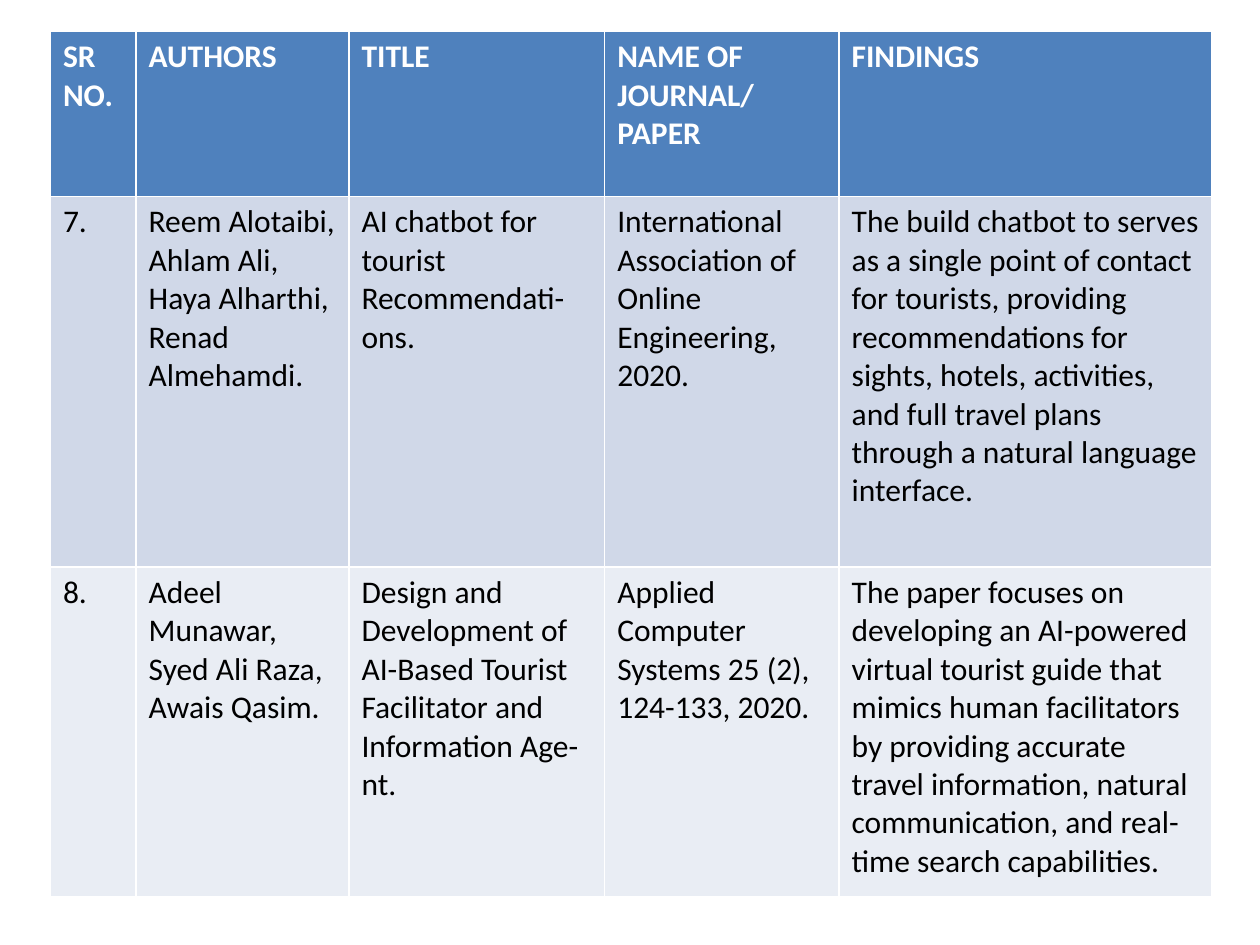
from dataclasses import dataclass

from pptx import Presentation
from pptx.dml.color import RGBColor
from pptx.table import _Cell
from pptx.util import Inches, Pt

WHITE = RGBColor(0xFF, 0xFF, 0xFF)
BLACK = RGBColor(0x00, 0x00, 0x00)
BLUE = RGBColor(0x4F, 0x81, 0xBD)
MIST = RGBColor(0xD0, 0xD8, 0xE8)
PALE = RGBColor(0xE9, 0xED, 0xF4)

FONT = "Calibri"
SIZE = Pt(18)
LEFT, TOP = 0.4, 0.25
WIDTHS = (0.68, 1.69, 2.03, 1.86, 2.96)


@dataclass(frozen=True)
class Row:
    height: float
    fill: RGBColor
    color: RGBColor
    bold: bool
    texts: tuple[str, ...]  # a line break starts a new paragraph


ROWS = (
    Row(1.31, BLUE, WHITE, True, (
        "SR\nNO.",
        "AUTHORS",
        "TITLE",
        "NAME OF JOURNAL/\nPAPER",
        "FINDINGS",
    )),
    Row(2.94, MIST, BLACK, False, (
        "7.",
        "Reem Alotaibi, Ahlam Ali,\nHaya Alharthi, Renad Almehamdi.",
        "AI chatbot for tourist\nRecommendati-ons.",
        "International Association of Online Engineering, 2020.",
        "The build chatbot to serves as a single point of contact for "
        "tourists, providing recommendations for sights, hotels, activities, "
        "and full travel plans through a natural language interface.",
    )),
    Row(2.62, PALE, BLACK, False, (
        "8.",
        "Adeel Munawar, Syed Ali Raza, Awais Qasim.",
        "Design and Development of AI-Based Tourist Facilitator and "
        "Information Age-nt.",
        "Applied Computer Systems 25 (2), 124-133, 2020.",
        "The paper focuses on developing an AI-powered virtual tourist guide "
        "that mimics human facilitators by providing accurate travel "
        "information, natural communication, and real-time search "
        "capabilities.",
    )),
)


def fill_cell(cell: _Cell, words: str, row: Row) -> None:
    cell.fill.solid()
    cell.fill.fore_color.rgb = row.fill
    cell.text_frame.text = words
    for para in cell.text_frame.paragraphs:
        for run in para.runs:
            run.font.name = FONT
            run.font.size = SIZE
            run.font.bold = row.bold
            run.font.color.rgb = row.color


def main() -> None:
    deck = Presentation()
    deck.slide_width, deck.slide_height = Inches(10), Inches(7.5)
    slide = deck.slides.add_slide(deck.slide_layouts[6])

    # The default table style draws the white rules between cells.
    table = slide.shapes.add_table(
        len(ROWS), len(WIDTHS), Inches(LEFT), Inches(TOP),
        Inches(sum(WIDTHS)), Inches(sum(row.height for row in ROWS)),
    ).table
    for column, width in zip(table.columns, WIDTHS):
        column.width = Inches(width)
    for line, row in zip(table.rows, ROWS):
        line.height = Inches(row.height)
        for cell, words in zip(line.cells, row.texts):
            fill_cell(cell, words, row)

    deck.save("out.pptx")


if __name__ == "__main__":
    main()
